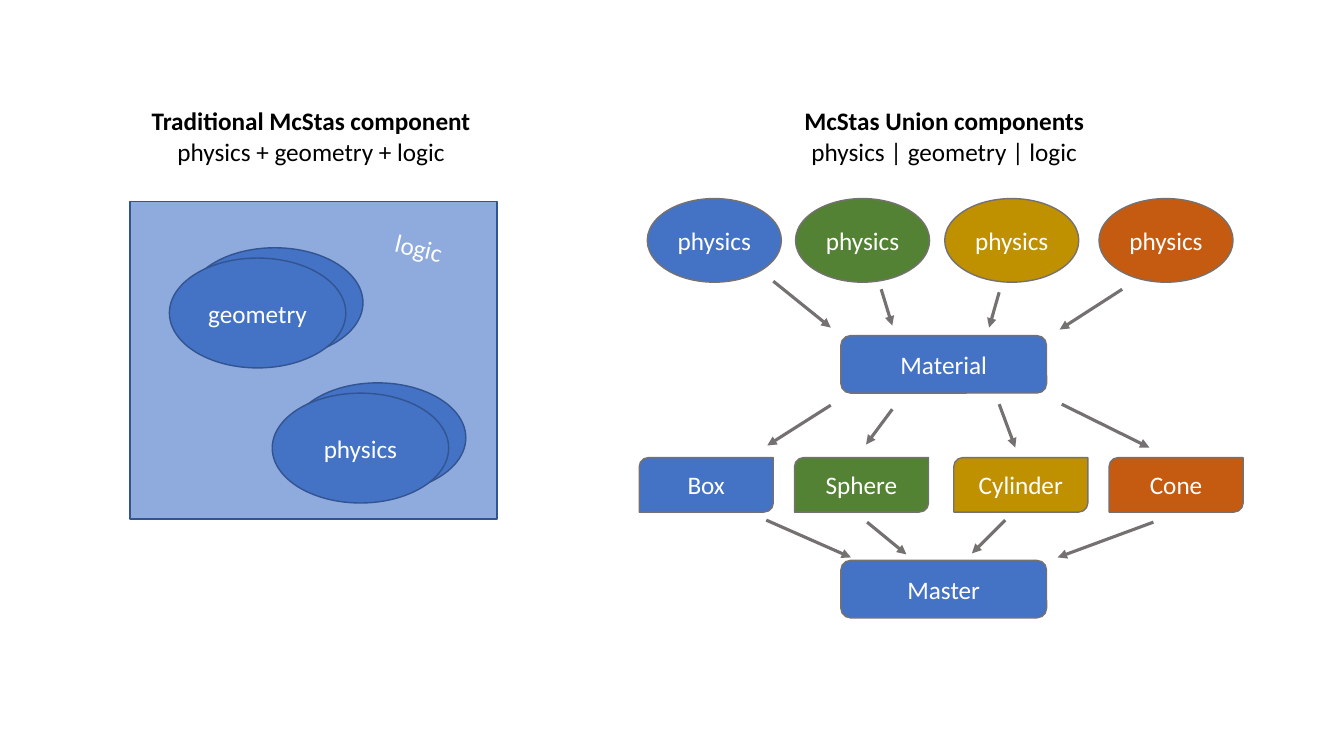
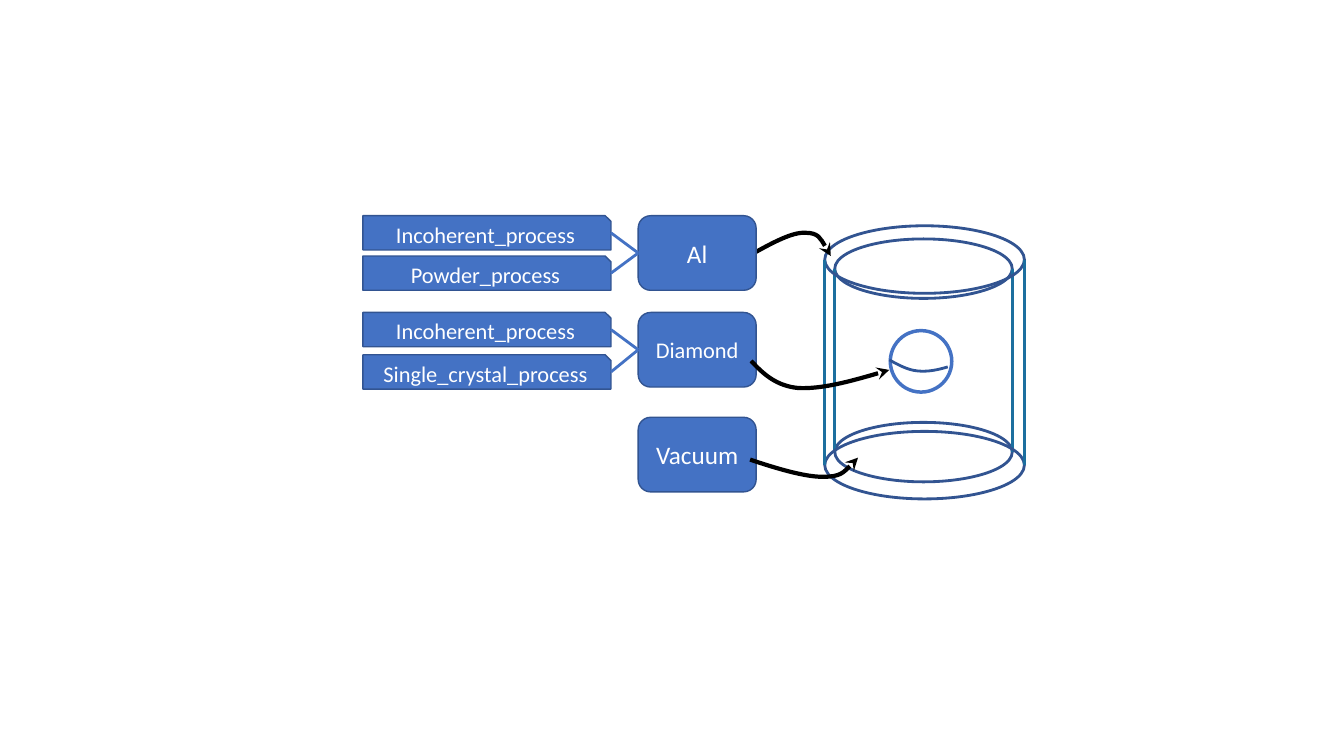
from pptx import Presentation
from pptx.dml.color import RGBColor
from pptx.enum import shapes as es, text as et
from pptx.oxml import ns, xmlchemy as xc
from pptx.util import Inches, Pt

HUE = {
    "blue": "4472C4", "green": "548235", "gold": "BF9000", "rust": "C55A11",
    "pale": "8FAADC", "edge": "325491", "gray": "767171", "teal": "1C6F9F",
    "navy": "2F5597", "black": "000000", "white": "FFFFFF",
}
FONT = "Calibri"
ROW = ("blue", "green", "gold", "rust")
FORM = es.MSO_SHAPE


def rgb(name):
    return RGBColor.from_string(HUE[name])


def inch(*vals):
    return [Inches(v) for v in vals]


def style(para, size, hue, bold=False, align=et.PP_ALIGN.CENTER):
    para.alignment = align
    for run in para.runs:
        font = run.font
        font.name, font.size, font.bold = FONT, Pt(size), bold
        font.color.rgb = rgb(hue)


def stroke(line, hue, width, tip=None):
    line.color.rgb = rgb(hue)
    line.width = Pt(width)
    if tip:
        end = xc.OxmlElement("a:tailEnd")
        end.set("type", tip)
        line._get_or_add_ln().append(end)


def node(shapes, form, box, fill="blue", edge="edge", width=1, label="", size=18):
    """Add a preset shape; a fill of None leaves it hollow."""
    shape = shapes.add_shape(form, *inch(*box))
    shape.shadow.inherit = False
    if fill:
        shape.fill.solid()
        shape.fill.fore_color.rgb = rgb(fill)
    else:
        shape.fill.background()
    stroke(shape.line, edge, width)
    if label:
        frame = shape.text_frame
        frame.text = label
        frame.vertical_anchor = et.MSO_ANCHOR.MIDDLE
        style(frame.paragraphs[0], size, "white")
    return shape


def link(shapes, ends, hue, width, tip=None):
    line = shapes.add_connector(es.MSO_CONNECTOR.STRAIGHT, *inch(*ends))
    line._element.spPr.append(xc.OxmlElement("a:effectLst"))
    stroke(line.line, hue, width, tip)
    # Schema order: line before effects
    props = line._element.spPr
    props.append(props.find(ns.qn("a:effectLst")))
    return line


def curve(shapes, x, y, points, hue, width, tip=None):
    """Draw cubic Bezier arcs: a start, then three points for each arc."""
    spots = [inch(x + px, y + py) for px, py in points]
    pen = shapes.build_freeform(*spots[0])
    pen.add_line_segments(spots[1:], close=False)
    shape = pen.convert_to_shape()
    shape.shadow.inherit = False
    shape.fill.background()
    stroke(shape.line, hue, width, tip)
    steps = list(shape._element.iter(ns.qn("a:lnTo")))
    for i in range(0, len(steps), 3):
        arc = xc.OxmlElement("a:cubicBezTo")
        steps[i].addprevious(arc)
        for step in steps[i:i + 3]:
            arc.append(step[0])
            step.getparent().remove(step)


def words(shapes, box):
    area = shapes.add_textbox(*inch(*box))
    area.text_frame.word_wrap = True
    area.text_frame.auto_size = et.MSO_AUTO_SIZE.SHAPE_TO_FIT_TEXT
    return area


def heading(shapes, x, y, title, parts):
    frame = words(shapes, (x, y, 3.69, 0.71)).text_frame
    frame.text = f"{title}\n{parts}"
    for i, para in enumerate(frame.paragraphs):
        style(para, 18, "black", bold=i == 0)


def classic(shapes, x, y):
    """Place the single component with everything inside one box."""
    heading(shapes, x, y, "Traditional McStas component",
            "physics + geometry + logic")
    node(shapes, FORM.RECTANGLE, (x + 0.05, y + 1, 3.64, 3.15), "pale")
    for label, dx, dy in (("geometry", 0.44, 1.56), ("physics", 1.46, 2.9)):
        for text, shift in (("", 0.17), (label, 0)):
            box = x + dx + shift, y + dy - shift * 0.6, 1.75, 1.09
            node(shapes, FORM.OVAL, box, label=text)
    logic = words(shapes, (x + 2.58, y + 1.28, 0.87, 0.4))
    logic.rotation = 13.6
    logic.text_frame.text = "logic"
    style(logic.text_frame.paragraphs[0], 18, "white", align=et.PP_ALIGN.LEFT)


def union(shapes, x, y):
    """Place the flow from physics through material and shapes to master."""
    heading(shapes, x + 1.18, y, "McStas Union components",
            "physics | geometry | logic")
    names = ("Box", "Sphere", "Cylinder", "Cone")
    for hue, dx in zip(ROW, (0.08, 1.55, 3.03, 4.56)):
        node(shapes, FORM.OVAL, (x + dx, y + 0.97, 1.33, 0.83), hue, "gray",
             label="physics")
    for hue, name, dx in zip(ROW, names, (0, 1.54, 3.12, 4.66)):
        node(shapes, FORM.ROUND_2_DIAG_RECTANGLE, (x + dx, y + 3.54, 1.33, 0.54),
             hue, "gray", label=name)
    for name, dy in (("Material", 2.33), ("Master", 4.56)):
        node(shapes, FORM.ROUNDED_RECTANGLE, (x + 2, y + dy, 2.04, 0.57),
             edge="gray", label=name)
    arrows = (
        (1.33, 1.79, 1.9, 2.25), (2.4, 1.87, 2.51, 2.23),
        (3.57, 1.9, 3.47, 2.25), (4.79, 1.87, 4.17, 2.27),
        (1.9, 3.02, 1.27, 3.42), (2.51, 3.06, 2.25, 3.41),
        (3.57, 3.01, 3.73, 3.44), (4.19, 3.01, 5.06, 3.44),
        (1.26, 4.16, 2.1, 4.53), (2.26, 4.18, 2.65, 4.5),
        (3.63, 4.16, 3.3, 4.49), (5.1, 4.18, 4.15, 4.53),
    )
    for x1, y1, x2, y2 in arrows:
        link(shapes, (x + x1, y + y1, x + x2, y + y2), "gray", 2.25, "triangle")


def matter(shapes, x, y, name, tags=(), step=0.4, size=18):
    """Place a material and the process tags that feed it."""
    block = node(shapes, FORM.ROUNDED_RECTANGLE, (x + 2.73, y, 1.17, 0.74),
                 label=name, size=size)
    for i, tag in enumerate(tags):
        top = y + i * step
        node(shapes, FORM.SNIP_1_RECTANGLE, (x, top, 2.46, 0.34),
             label=tag, size=16)
        line = link(shapes, (x + 2.46, top + 0.17, x + 2.73, y + 0.37), "blue", 2)
        line.end_connect(block, 1)


def tube(shapes, x, y, w, h, lid):
    """Group two hollow ellipses and two walls into a cylinder."""
    parts = shapes.add_group_shape().shapes
    for top in (y, y + h - lid):
        node(parts, FORM.OVAL, (x, top, w, lid), None, width=2)
    for side in (x + w, x):
        link(parts, (side, y + lid / 2, side, y + h - lid / 2), "teal", 2)


def sample(shapes, x, y):
    """Place the ball inside the two nested cylinders."""
    node(shapes, FORM.OVAL, (x + 0.65, y + 1.04, 0.61, 0.61), "white", "blue", 2.5)
    tube(shapes, x + 0.1, y + 0.13, 1.76, 2.41, 0.59)
    tube(shapes, x, y, 1.98, 2.71, 0.67)
    curve(shapes, x, y, ((0.64, 1.33), (0.73, 1.38), (0.82, 1.43), (0.92, 1.44),
                         (1.02, 1.45), (1.12, 1.43), (1.22, 1.4)), "navy", 2)


def setup(shapes, x, y):
    """Place the materials and point each at its part of the sample."""
    sample(shapes, x + 4.58, y + 0.1)
    paths = (
        ((3.86, 0.38), (4.06, 0.27), (4.26, 0.16), (4.39, 0.17),
         (4.52, 0.17), (4.58, 0.29), (4.64, 0.4)),
        ((3.85, 1.44), (3.97, 1.57), (4.1, 1.69), (4.32, 1.71),
         (4.55, 1.72), (4.89, 1.63), (5.22, 1.53)),
        ((3.84, 2.42), (4.11, 2.51), (4.38, 2.59), (4.56, 2.59),
         (4.74, 2.59), (4.82, 2.5), (4.91, 2.4)),
    )
    curve(shapes, x, y, paths[0], "black", 3, "stealth")
    matter(shapes, x, y, "Al", ("Incoherent_process", "Powder_process"))
    matter(shapes, x, y + 0.96, "Diamond",
           ("Incoherent_process", "Single_crystal_process"), 0.42, 16)
    matter(shapes, x, y + 2, "Vacuum")
    for points in paths[1:]:
        curve(shapes, x, y, points, "black", 3, "stealth")


def main():
    deck = Presentation()
    deck.slide_width, deck.slide_height = inch(13.33, 7.5)
    flow, scene = (deck.slides.add_slide(deck.slide_layouts[6]).shapes
                   for _ in range(2))
    classic(flow, 1.24, 1)
    union(flow, 6.34, 1)
    setup(scene, 3.6, 2.14)
    deck.save("out.pptx")


if __name__ == "__main__":
    main()
